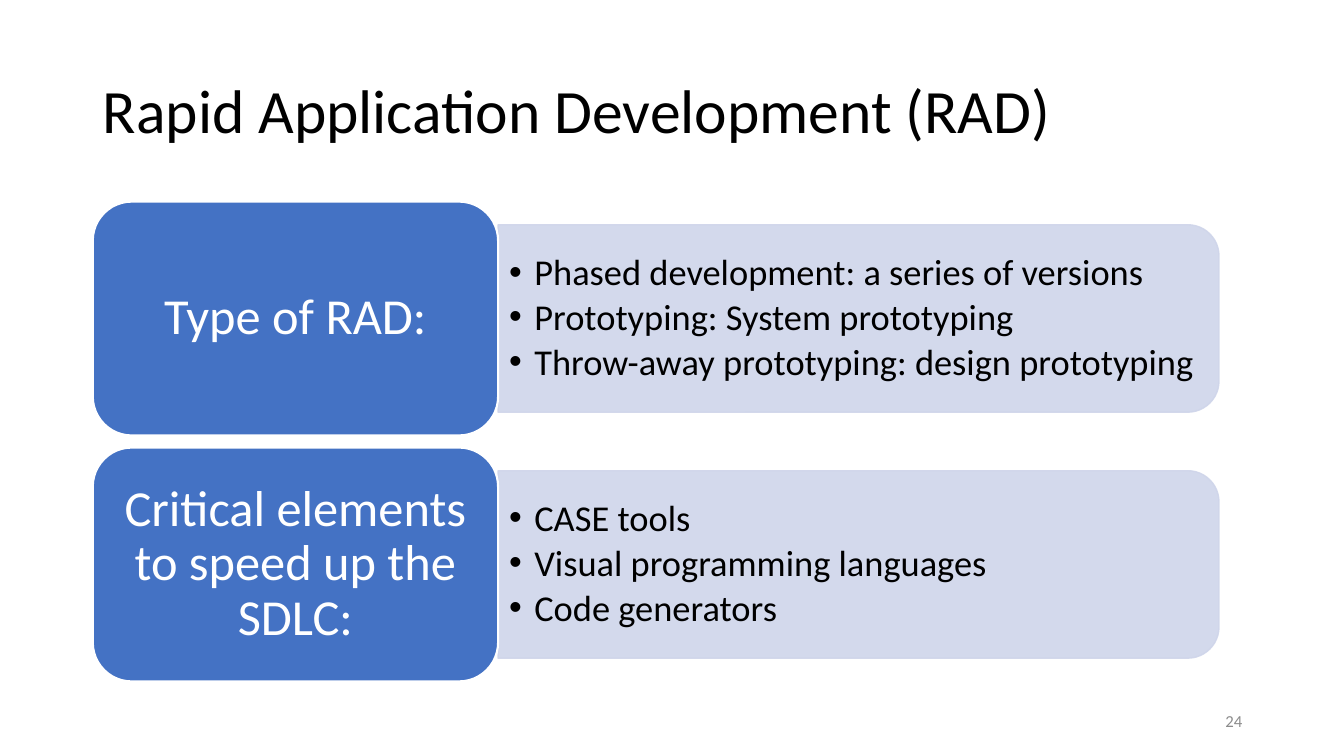
from dataclasses import dataclass

from lxml.etree import SubElement
from pptx import Presentation
from pptx.dml.color import RGBColor
from pptx.enum.shapes import MSO_SHAPE
from pptx.enum.text import MSO_ANCHOR, MSO_AUTO_SIZE, PP_ALIGN
from pptx.oxml.ns import qn
from pptx.shapes.autoshape import Shape
from pptx.slide import Slide
from pptx.text.text import TextFrame, _Paragraph
from pptx.util import Inches, Pt

FONT = "Calibri"
BLACK = RGBColor(0x00, 0x00, 0x00)
WHITE = RGBColor(0xFF, 0xFF, 0xFF)
GRAY = RGBColor(0x8C, 0x8C, 0x8C)
BLUE = RGBColor(0x44, 0x72, 0xC4)
PALE_BLUE = RGBColor(0xCF, 0xD5, 0xEA)

LEFT, TOP = 0.92, 2.0
LABEL_W, LABEL_H = 4.02, 2.32
PANEL_W, PANEL_H = 7.15, 1.86
BULLETS_W, BULLETS_H = 7.06, 1.68
ROW_PITCH = 2.44


@dataclass
class Topic:
    label: str
    bullets: list[str]


TOPICS = [
    Topic("Type of RAD:", [
        "Phased development: a series of versions",
        "Prototyping: System prototyping",
        "Throw-away prototyping: design prototyping",
    ]),
    Topic("Critical elements to speed up the SDLC:", [
        "CASE tools",
        "Visual programming languages",
        "Code generators",
    ]),
]


def add_run(p: _Paragraph, text: str, size: float, color: RGBColor) -> None:
    r = p.add_run()
    r.text = text
    r.font.name = FONT
    r.font.size = Pt(size)
    r.font.color.rgb = color


def set_frame(tf: TextFrame, inset_x: float = 0.1, inset_y: float = 0.05) -> None:
    """Wrap and centre the text vertically, with the given insets."""
    tf.word_wrap = True
    tf.auto_size = MSO_AUTO_SIZE.NONE
    tf.vertical_anchor = MSO_ANCHOR.MIDDLE
    tf.margin_left = tf.margin_right = Inches(inset_x)
    tf.margin_top = tf.margin_bottom = Inches(inset_y)


def set_bullet(p: _Paragraph, indent: float) -> None:
    pPr = p._p.get_or_add_pPr()
    pPr.set("marL", str(Inches(indent)))
    pPr.set("indent", str(-Inches(indent)))
    SubElement(pPr, qn("a:buFont"), typeface="Arial")
    SubElement(pPr, qn("a:buChar"), char="•")


def set_alpha(sp: Shape, percent: int) -> None:
    """Make both the fill and the line partly transparent."""
    for color in sp._element.spPr.iter(qn("a:srgbClr")):
        SubElement(color, qn("a:alpha"), val=str(percent * 1000))


def add_box(s: Slide, kind: MSO_SHAPE, left: float, top: float, width: float,
            height: float, fill: RGBColor, line: RGBColor, line_pt: float) -> Shape:
    sp = s.shapes.add_shape(kind, Inches(left), Inches(top), Inches(width), Inches(height))
    sp.shadow.inherit = False
    sp.fill.solid()
    sp.fill.fore_color.rgb = fill
    sp.line.color.rgb = line
    sp.line.width = Pt(line_pt)
    return sp


def add_panel(s: Slide, mid_y: float) -> None:
    """Add the pale panel, an upright shape turned a quarter to the right."""
    mid_x = LEFT + LABEL_W + PANEL_W / 2
    sp = add_box(s, MSO_SHAPE.ROUND_2_SAME_RECTANGLE, mid_x - PANEL_H / 2,
                 mid_y - PANEL_W / 2, PANEL_H, PANEL_W, PALE_BLUE, PALE_BLUE, 1)
    sp.rotation = 90
    set_alpha(sp, 90)


def add_bullets(s: Slide, bullets: list[str], mid_y: float) -> None:
    tf = s.shapes.add_textbox(Inches(LEFT + LABEL_W), Inches(mid_y - BULLETS_H / 2),
                              Inches(BULLETS_W), Inches(BULLETS_H)).text_frame
    set_frame(tf, 0.11)
    for i, text in enumerate(bullets):
        p = tf.paragraphs[0] if i == 0 else tf.add_paragraph()
        p.level = 1
        p.line_spacing = 0.9
        p.space_after = Pt(4)
        set_bullet(p, 0.25)
        add_run(p, text, 26, BLACK)


def add_label(s: Slide, text: str, top: float) -> None:
    sp = add_box(s, MSO_SHAPE.ROUNDED_RECTANGLE, LEFT, top, LABEL_W, LABEL_H,
                 BLUE, WHITE, 1.5)
    set_frame(sp.text_frame, 0.15, 0.07)
    p = sp.text_frame.paragraphs[0]
    p.alignment = PP_ALIGN.CENTER
    p.line_spacing = 0.9
    add_run(p, text, 36, WHITE)


def add_title(s: Slide, text: str) -> None:
    title = s.shapes.title
    title.left, title.top = Inches(LEFT), Inches(0.4)
    title.width, title.height = Inches(11.5), Inches(1.45)
    set_frame(title.text_frame)
    p = title.text_frame.paragraphs[0]
    p.alignment = PP_ALIGN.LEFT
    p.line_spacing = 0.9
    add_run(p, text, 44, BLACK)


def add_page_number(s: Slide, number: str) -> None:
    tf = s.shapes.add_textbox(Inches(9.42), Inches(6.95), Inches(3), Inches(0.4)).text_frame
    set_frame(tf)
    p = tf.paragraphs[0]
    p.alignment = PP_ALIGN.RIGHT
    add_run(p, number, 12, GRAY)


def main() -> None:
    prs = Presentation()
    prs.slide_width, prs.slide_height = Inches(13.33), Inches(7.5)
    s = prs.slides.add_slide(prs.slide_layouts[5])
    add_title(s, "Rapid Application Development (RAD)")
    add_page_number(s, "24")
    for row, topic in enumerate(TOPICS):
        top = TOP + row * ROW_PITCH
        mid_y = top + LABEL_H / 2
        add_panel(s, mid_y)
        add_bullets(s, topic.bullets, mid_y)
        add_label(s, topic.label, top)
    prs.save("out.pptx")


if __name__ == "__main__":
    main()
